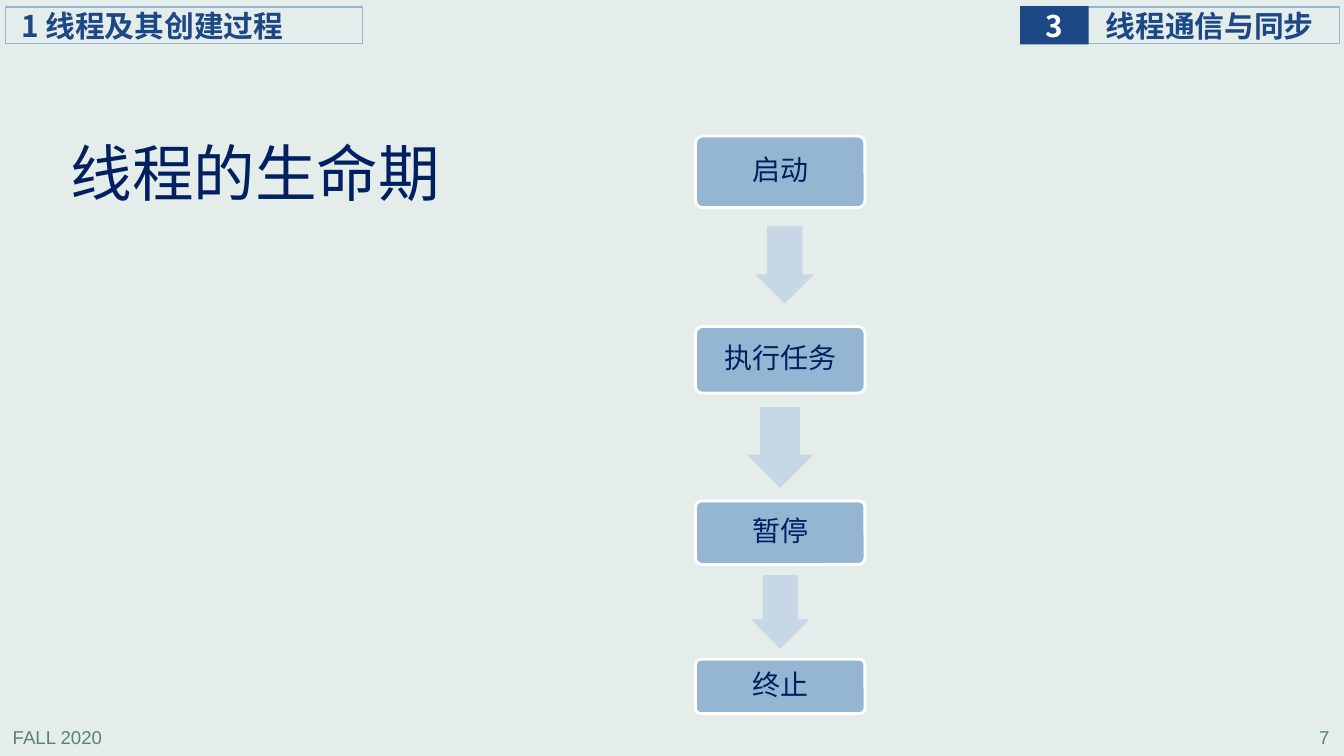
from lxml import etree
from pptx import Presentation
from pptx.dml.color import RGBColor
from pptx.enum.shapes import MSO_SHAPE as SHAPE
from pptx.enum.text import MSO_ANCHOR as ANCHOR, PP_ALIGN as ALIGN
from pptx.oxml.ns import qn
from pptx.util import Pt

PAPER = RGBColor(0xE5, 0xED, 0xEB)
NAVY = RGBColor(0x00, 0x20, 0x60)
BLUE = RGBColor(0x1C, 0x48, 0x85)
STEEL = RGBColor(0x94, 0xB6, 0xD2)
PALE = RGBColor(0xC8, 0xD7, 0xE5)
GREEN = RGBColor(0x57, 0x82, 0x79)
WHITE = RGBColor(0xFF, 0xFF, 0xFF)
SANS = "Noto Sans CJK SC"

STAGE_LEFT, STAGE_WIDTH = 496.8, 121
STAGE_MIDDLE = STAGE_LEFT + STAGE_WIDTH / 2
STAGES = [("启动", 97.2, 51.1), ("执行任务", 233.3, 47.5),
          ("暂停", 357.8, 45.4), ("终止", 470.9, 38.9)]
ARROWS = [(STAGE_MIDDLE + 3.2, 161.6, 41.8, 55.4),
          (STAGE_MIDDLE, 290.9, 47.5, 57.6),
          (STAGE_MIDDLE, 410.8, 41.8, 52.6)]


def write(s, text, size, color, align=ALIGN.LEFT, font=SANS, bold=False,
          insets=(0, 0, 0, 0), spacing=1.0, wrap=True):
    """Fill a shape with one styled, vertically centred paragraph."""
    tf = s.text_frame
    tf.word_wrap = wrap
    tf.vertical_anchor = ANCHOR.MIDDLE
    tf.margin_left, tf.margin_top, tf.margin_right, tf.margin_bottom = map(Pt, insets)
    p = tf.paragraphs[0]
    p.alignment = align
    p.line_spacing = spacing
    r = p.add_run()
    r.text = text
    r.font.name = font
    r.font.size = Pt(size)
    r.font.bold = bold
    r.font.color.rgb = color
    etree.SubElement(r.font._element, qn("a:ea")).set("typeface", font)


def add_text(slide, box, *args, **style):
    """Add a text box with one paragraph."""
    write(slide.shapes.add_textbox(*map(Pt, box)), *args, **style)


def add_shape(slide, kind, box, fill=None, line=None, weight=0.75):
    """Add a preset shape without shadow."""
    s = slide.shapes.add_shape(kind, *map(Pt, box))
    s.shadow.inherit = False
    if fill is None:
        s.fill.background()
    else:
        s.fill.solid()
        s.fill.fore_color.rgb = fill
    if line is None:
        s.line.fill.background()
    else:
        s.line.color.rgb = line
        s.line.width = Pt(weight)
    return s


def add_header(slide, box, text, inset):
    """Add an outlined section label."""
    s = add_shape(slide, SHAPE.RECTANGLE, box, line=STEEL)
    write(s, text, 21.3, BLUE, bold=True, insets=(inset, 0, 0, 0))


def add_stage(slide, text, top, height):
    """Add one rounded stage of the thread's life."""
    box = (STAGE_LEFT, top, STAGE_WIDTH, height)
    s = add_shape(slide, SHAPE.ROUNDED_RECTANGLE, box, STEEL, WHITE, 2)
    s.adjustments[0] = 0.1
    write(s, text, 20, NAVY, ALIGN.CENTER, insets=(6, 6, 6, 6), spacing=0.9)


def add_arrow(slide, middle, top, width, height):
    """Add a block arrow pointing down to the next stage."""
    box = (middle - width / 2, top, width, height)
    s = add_shape(slide, SHAPE.DOWN_ARROW, box, PALE)
    s.adjustments[0] = 0.6
    s.adjustments[1] = 0.5


def main():
    """Build the slide and save it."""
    prs = Presentation()
    prs.slide_width, prs.slide_height = Pt(960), Pt(540)
    slide = prs.slides.add_slide(prs.slide_layouts[6])
    slide.background.fill.solid()
    slide.background.fill.fore_color.rgb = PAPER

    footer = {"font": "Arial", "insets": (7.2, 3.6, 7.2, 3.6)}
    add_text(slide, (2, 515.5, 200, 22.3), "FALL 2020", 13.3, GREEN, **footer)
    add_text(slide, (756.7, 515.5, 200, 22.3), "7", 13.3, GREEN, ALIGN.RIGHT, **footer)

    add_header(slide, (776.2, 5, 180.6, 26), "线程通信与同步", 13.5)
    s = add_shape(slide, SHAPE.RECTANGLE, (728.6, 4.3, 49, 27.4), BLUE)
    write(s, "3", 21.3, WHITE, ALIGN.CENTER, bold=True, wrap=False)
    add_header(slide, (3.6, 5, 255.6, 26), "1 线程及其创建过程", 11.5)

    add_text(slide, (44.6, 97.2, 321, 57.6), "线程的生命期", 44, NAVY,
             insets=(5.8, 2.9, 5.8, 2.9), spacing=0.9)
    for stage in STAGES:
        add_stage(slide, *stage)
    for arrow in ARROWS:
        add_arrow(slide, *arrow)
    prs.save("out.pptx")


if __name__ == "__main__":
    main()
